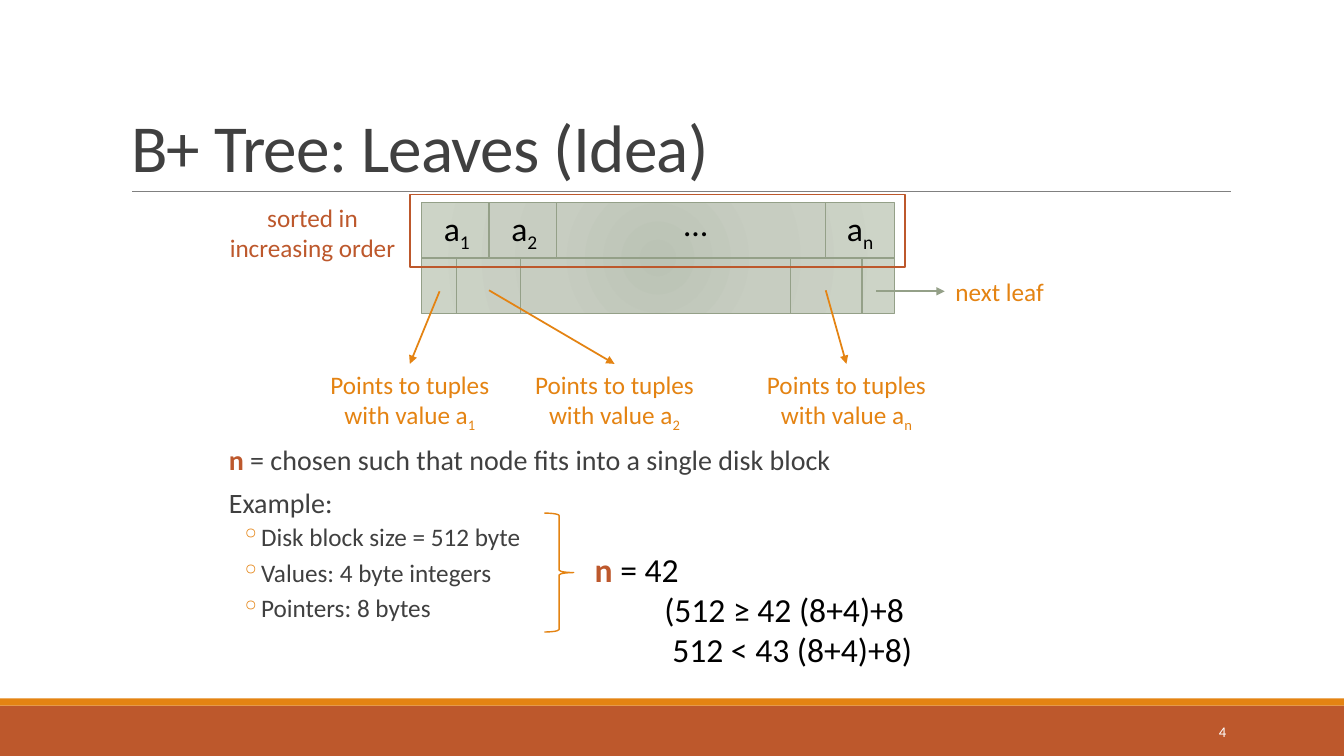
"""Build the slide on the leaves of a B+ tree."""
from lxml.etree import SubElement
from pptx import Presentation
from pptx.dml.color import RGBColor
from pptx.enum.shapes import MSO_CONNECTOR as Link, MSO_SHAPE as Kind
from pptx.enum.text import MSO_ANCHOR as Anchor, MSO_AUTO_SIZE as Fit, PP_ALIGN as Align
from pptx.oxml import parse_xml
from pptx.oxml.ns import nsdecls, qn
from pptx.util import Inches, Pt


class Theme:
    font = "Calibri"
    rust = RGBColor.from_string("BD582C")
    amber = RGBColor.from_string("E48312")
    sage = RGBColor.from_string("94A088")
    gray = RGBColor.from_string("808080")
    dark = RGBColor.from_string("404040")
    black = RGBColor.from_string("000000")
    white = RGBColor.from_string("FFFFFF")
    shades = (0, "BBC3B5"), (45, "C7CDC1"), (100, "CDD4C7")
    head, key, body, note, page = Pt(48), Pt(24), Pt(20), Pt(18), Pt(10.5)


def label(place, text, size, color, align=Align.CENTER, wrap=False, sub=""):
    """Add a text box, with an optional subscript at its end."""
    box = slide.shapes.add_textbox(*map(Inches, place))
    frame = box.text_frame
    frame.word_wrap = wrap
    frame.text = text
    if sub:
        run = frame.paragraphs[-1].add_run()
        run.text = sub
        run._r.get_or_add_rPr().set("baseline", "-25000")
    for para in frame.paragraphs:
        para.alignment = align
        for run in para.runs:
            run.font.name, run.font.size = Theme.font, size
            run.font.color.rgb = color
    return box


def join(start, end, color, width, arrow=False):
    """Add a straight line, with an optional arrowhead at its end."""
    line = slide.shapes.add_connector(Link.STRAIGHT, *map(Inches, start + end))
    line.line.color.rgb = color
    line.line.width = Pt(width)
    SubElement(line._element.spPr, qn("a:effectLst"))
    if arrow:
        SubElement(line.line._get_or_add_ln(), qn("a:tailEnd"), type="triangle")
    return line


deck = Presentation()
deck.slide_width, deck.slide_height = Inches(13.33), Inches(7.5)
slide = deck.slides.add_slide(deck.slide_layouts[5])

for top, height, color in (7, 0.5, Theme.rust), (6.93, 0.07, Theme.amber):
    bar = slide.shapes.add_shape(Kind.RECTANGLE, 0, Inches(top), deck.slide_width, Inches(height))
    bar.shadow.inherit = False
    bar.fill.solid()
    bar.fill.fore_color.rgb = color
    bar.line.fill.background()
join((1.31, 1.9), (12.21, 1.9), Theme.gray, 0.5)

title = slide.shapes.title
title.left, title.top, title.width, title.height = map(Inches, (1.2, 0.31, 11, 1.59))
frame = title.text_frame
frame.text = "B+ Tree: Leaves (Idea)"
frame.auto_size, frame.vertical_anchor = Fit.NONE, Anchor.BOTTOM
para = frame.paragraphs[0]
para.alignment, para.line_spacing = Align.LEFT, 0.85
run = para.runs[0]
run.font.name, run.font.size = Theme.font, Theme.head
run.font.color.rgb = Theme.dark
run._r.get_or_add_rPr().set("spc", "-50")

facts = label((2.17, 4.38, 9, 2.67),
              "n\nExample:\nDisk block size = 512 byte\nValues: 4 byte integers\nPointers: 8 bytes",
              Theme.body, Theme.dark, Align.LEFT, True).text_frame
facts.margin_left = facts.margin_right = 0
intro, example, *items = facts.paragraphs
for para in intro, example:
    para._p.get_or_add_pPr().set("marL", str(Inches(0.1)))
    para.line_spacing, para.space_after = 0.9, Pt(2)
example.space_before = Pt(6.7)
for para in items:
    para.level = 1
    para.line_spacing, para.space_before, para.space_after = 0.9, Pt(2), Pt(4)
    props = para._p.get_or_add_pPr()
    props.set("marL", str(Inches(0.42)))
    props.set("indent", str(Inches(-0.2)))
    tint = SubElement(props, qn("a:buClr"))
    SubElement(tint, qn("a:srgbClr"), val=str(Theme.amber))
    SubElement(props, qn("a:buChar"), char="◦")
    para.runs[0].font.size = Theme.note

page = label((10.83, 7.06, 1.43, 0.4), "4", Theme.page, Theme.white, Align.RIGHT, True)
page.text_frame.vertical_anchor = Anchor.MIDDLE

left, top, mid, base = 4.18, 2.01, 2.56, 3.11
node = slide.shapes.add_shape(Kind.RECTANGLE, *map(Inches, (left, top, 4.69, base - top)))
node.shadow.inherit = False
node.line.color.rgb, node.line.width = Theme.sage, Pt(1)
stops = "".join(f'<a:gs pos="{pos * 1000}"><a:srgbClr val="{shade}"/></a:gs>'
                for pos, shade in Theme.shades)
node._element.spPr.find(qn("a:prstGeom")).addnext(parse_xml(
    f'<a:gradFill {nsdecls("a")}><a:gsLst>{stops}</a:gsLst><a:path path="circle">'
    '<a:fillToRect l="100000" t="100000" r="100000" b="100000"/></a:path></a:gradFill>'))

split = join((left, mid), (8.87, mid), Theme.sage, 1)
split.begin_connect(node, 1)
split.end_connect(node, 3)
for low, high, cuts in (mid, top, (4.85, 5.52, 8.19)), (base, mid, (4.53, 5.16, 7.84, 8.55)):
    for x in cuts:
        join((x, low), (x, high), Theme.sage, 1)

for sub, key_x, tip_x, start in (("1", 4.29, 3.17, (4.36, 2.89)),
                                 ("2", 4.96, 5.2, (4.85, 2.88)),
                                 ("n", 8.29, 7.5, (8.19, 2.88))):
    label((key_x, top, 0.48, 0.5), "a", Theme.key, Theme.black, sub=sub)
    tip = label((tip_x, 3.61, 1.79, 0.71), "Points to tuples\vwith value a",
                Theme.note, Theme.amber, sub=sub)
    join(start, (tip_x + 0.9, 3.61), Theme.amber, 1.25, True).end_connect(tip, 0)
label((6.68, 1.96, 0.44, 0.5), "…", Theme.key, Theme.black)

leaf = label((9.37, 2.69, 1.09, 0.4), "next leaf", Theme.note, Theme.amber)
join((8.69, 2.89), (9.37, 2.89), Theme.sage, 1.25, True).end_connect(leaf, 1)

for kind, place, color, width in (
        (Kind.RIGHT_BRACE, (5.4, 5.09, 0.29, 1.18), Theme.amber, 1),
        (Kind.RECTANGLE, (4.07, 1.93, 4.91, 0.72), Theme.rust, 1.25)):
    mark = slide.shapes.add_shape(kind, *map(Inches, place))
    mark.shadow.inherit = False
    mark.fill.background()
    mark.line.color.rgb, mark.line.width = color, Pt(width)
label((2.17, 1.96, 1.86, 0.71), "sorted in\nincreasing order", Theme.note, Theme.rust)

count = label((5.8, 5.4, 1.12, 0.5), "n", Theme.key, Theme.rust, Align.LEFT, True)
for para, tail, size, color in (
        (intro, " = chosen such that node fits into a single disk block", Theme.body, Theme.dark),
        (count.text_frame.paragraphs[0], " = 42", Theme.key, Theme.black)):
    para.runs[0].font.bold = True
    para.runs[0].font.color.rgb = Theme.rust
    run = para.add_run()
    run.text = tail
    run.font.name, run.font.size = Theme.font, size
    run.font.color.rgb = color

proof = label((6.49, 5.79, 2.81, 0.91), "(512 ≥ 42 (8+4)+8\n512 < 43 (8+4)+8)",
              Theme.key, Theme.black, Align.LEFT, True)
proof.text_frame.paragraphs[1]._p.get_or_add_pPr().set("marL", str(Inches(0.08)))

deck.save("out.pptx")
